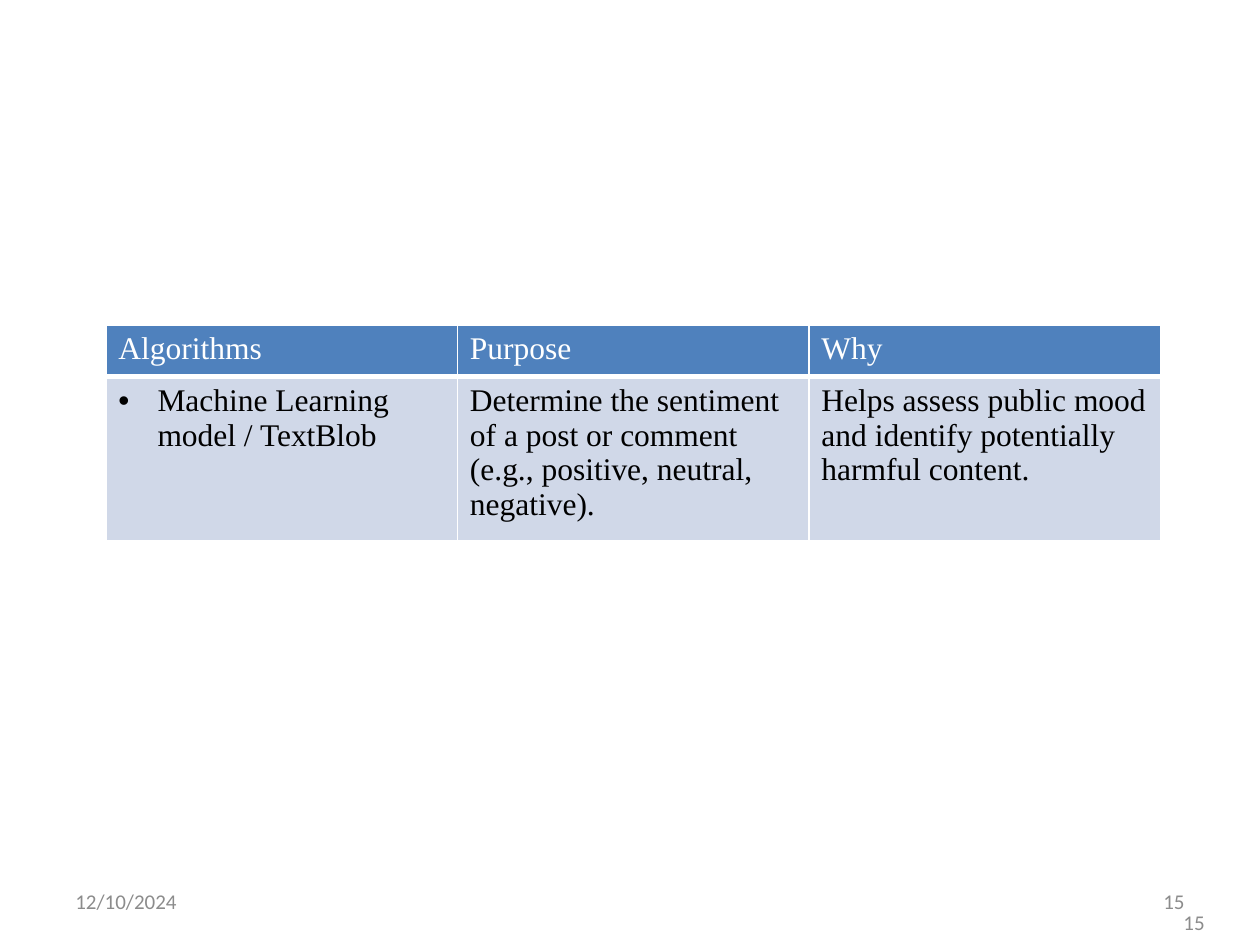
from dataclasses import dataclass

from lxml import etree
from pptx import Presentation
from pptx.dml.color import RGBColor
from pptx.enum.text import MSO_ANCHOR, PP_ALIGN
from pptx.oxml.ns import qn
from pptx.util import Inches, Pt

LEFT, RIGHT = PP_ALIGN.LEFT, PP_ALIGN.RIGHT
MIDDLE = MSO_ANCHOR.MIDDLE
BLANK_LAYOUT = 6


@dataclass(frozen=True)
class Theme:
    header_fill: str = "4F81BD"
    body_fill: str = "D0D8E8"
    header_text: str = "FFFFFF"
    body_text: str = "000000"
    border: str = "FFFFFF"
    footer_text: str = "8C8C8C"
    table_font: str = "Times New Roman"
    footer_font: str = "Calibri"
    table_size: int = 18
    footer_size: int = 12


@dataclass(frozen=True)
class Footer:
    text: str
    left: float
    top: float
    align: PP_ALIGN


THEME = Theme()
FOOTERS = [
    Footer("12/10/2024", 0.5, 6.95, LEFT),
    Footer("15", 7.17, 6.95, RIGHT),
    Footer("15", 7.33, 7.12, RIGHT),
]
ROWS = [
    ["Algorithms", "Purpose", "Why"],
    [
        "Machine Learning model / TextBlob",
        "Determine the sentiment of a post or comment (e.g., positive, neutral, negative).",
        "Helps assess public mood and identify potentially harmful content.",
    ],
]
ROW_HEIGHTS = [0.41, 1.2]
COLUMN_WIDTH = 2.79


def style_text(paragraph, font_name: str, size: int, color: str) -> None:
    for run in paragraph.runs:
        run.font.name = font_name
        run.font.size = Pt(size)
        run.font.bold = False
        run.font.color.rgb = RGBColor.from_string(color)


def set_borders(cell, widths: dict[str, int]) -> None:
    """Put the border lines ahead of the cell fill, as the schema orders them."""
    properties = cell._tc.get_or_add_tcPr()
    for index, (side, width) in enumerate(widths.items()):
        line = etree.Element(qn(f"a:ln{side}"), w=str(Pt(width)))
        fill = etree.SubElement(line, qn("a:solidFill"))
        etree.SubElement(fill, qn("a:srgbClr"), val=THEME.border)
        properties.insert(index, line)


def add_bullet(paragraph) -> None:
    properties = paragraph._p.get_or_add_pPr()
    indent = Inches(0.31)
    properties.set("marL", str(indent))
    properties.set("indent", str(-indent))
    etree.SubElement(properties, qn("a:buFont"), typeface="Arial")
    etree.SubElement(properties, qn("a:buChar"), char="•")


def add_footer(slide, footer: Footer) -> None:
    box = slide.shapes.add_textbox(
        Inches(footer.left), Inches(footer.top), Inches(2.33), Inches(0.4))
    frame = box.text_frame
    frame.word_wrap = True
    frame.vertical_anchor = MIDDLE
    frame.text = footer.text
    paragraph = frame.paragraphs[0]
    paragraph.alignment = footer.align
    style_text(paragraph, THEME.footer_font, THEME.footer_size, THEME.footer_text)


def add_algorithm_table(slide) -> None:
    column_count = len(ROWS[0])
    table = slide.shapes.add_table(
        len(ROWS), column_count, Inches(0.84), Inches(2.58),
        Inches(COLUMN_WIDTH * column_count), Inches(sum(ROW_HEIGHTS))).table
    for column in table.columns:
        column.width = Inches(COLUMN_WIDTH)
    for r, (texts, height) in enumerate(zip(ROWS, ROW_HEIGHTS)):
        table.rows[r].height = Inches(height)
        is_header = r == 0
        fill = THEME.header_fill if is_header else THEME.body_fill
        color = THEME.header_text if is_header else THEME.body_text
        # The thick line separates the header from the body
        top, bottom = (1, 3) if is_header else (3, 1)
        for c, text in enumerate(texts):
            cell = table.cell(r, c)
            cell.fill.solid()
            cell.fill.fore_color.rgb = RGBColor.from_string(fill)
            cell.text_frame.text = text
            paragraph = cell.text_frame.paragraphs[0]
            style_text(paragraph, THEME.table_font, THEME.table_size, color)
            set_borders(cell, {"L": 1, "R": 1, "T": top, "B": bottom})
    add_bullet(table.cell(1, 0).text_frame.paragraphs[0])


def main() -> None:
    presentation = Presentation()
    presentation.slide_width = Inches(10)
    presentation.slide_height = Inches(7.5)
    slide = presentation.slides.add_slide(presentation.slide_layouts[BLANK_LAYOUT])

    # Date and page numbers
    for footer in FOOTERS:
        add_footer(slide, footer)

    # Algorithms with their purpose and reason
    add_algorithm_table(slide)
    presentation.save("out.pptx")


if __name__ == "__main__":
    main()
